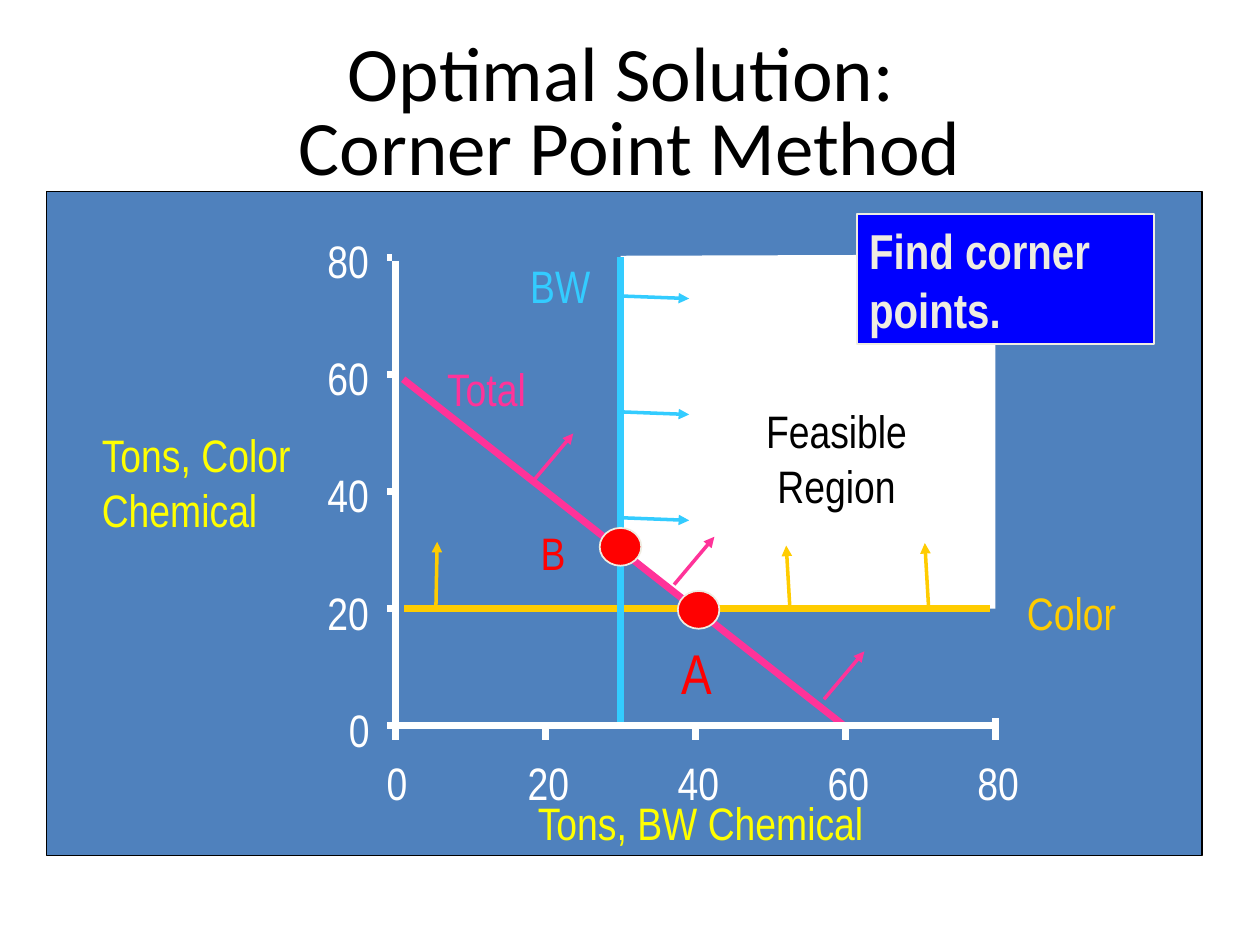
from lxml.etree import SubElement
from pptx import Presentation
from pptx.dml.color import RGBColor
from pptx.enum.shapes import MSO_CONNECTOR, MSO_SHAPE
from pptx.enum.text import MSO_ANCHOR, MSO_AUTO_SIZE, PP_ALIGN
from pptx.oxml.ns import qn
from pptx.util import Inches, Pt

COLORS = {
    "panel": "4F81BD", "white": "FFFFFF", "black": "000000",
    "axis_title": "FFFF00", "bw": "33CCFF", "color": "FFCC00",
    "total": "FF3399", "corner": "FF0101", "callout": "0000FF",
    "cream": "EEECE1",
}
LABEL_FONT = "Arial Narrow"
LABEL_SIZE = 26
LABEL_HEIGHT = 0.53

# Plot grid: origin in inches and the length of one step of 20 tons
ORIGIN_X, ORIGIN_Y = 3.14, 5.76
STEP_X, STEP_Y = 1.19, 0.93
STEP_TONS = 20
TICKS = range(0, 81, STEP_TONS)


def plot_x(tons):
    return ORIGIN_X + STEP_X * tons / STEP_TONS


def plot_y(tons):
    return ORIGIN_Y - STEP_Y * tons / STEP_TONS


def rgb(name):
    return RGBColor.from_string(COLORS[name])


def add_run(paragraph, text, color, size=LABEL_SIZE, font=LABEL_FONT, bold=None):
    run = paragraph.add_run()
    run.text = text
    run.font.name = font
    run.font.size = Pt(size)
    run.font.bold = bold
    run.font.color.rgb = rgb(color)


def add_label(slide, lines, left, top, width, color, height=LABEL_HEIGHT,
              size=LABEL_SIZE, align=PP_ALIGN.LEFT, wrap=False):
    label = slide.shapes.add_textbox(
        Inches(left), Inches(top), Inches(width), Inches(height))
    frame = label.text_frame
    frame.word_wrap = wrap
    frame.auto_size = MSO_AUTO_SIZE.SHAPE_TO_FIT_TEXT
    for index, line in enumerate(lines):
        paragraph = frame.add_paragraph() if index else frame.paragraphs[0]
        paragraph.alignment = align
        add_run(paragraph, line, color, size)


def add_line(slide, start, end, color, width=4, arrow=False):
    line = slide.shapes.add_connector(
        MSO_CONNECTOR.STRAIGHT, *(Inches(length) for length in (*start, *end)))
    line.line.color.rgb = rgb(color)
    line.line.width = Pt(width)
    if arrow:
        SubElement(line.line._get_or_add_ln(), qn("a:tailEnd"), type="triangle")
    SubElement(line._element.spPr, qn("a:effectLst"))


def add_filled(slide, preset, left, top, width, height, fill, outline, weight):
    shape = slide.shapes.add_shape(
        preset, Inches(left), Inches(top), Inches(width), Inches(height))
    shape.shadow.inherit = False
    shape.fill.solid()
    shape.fill.fore_color.rgb = rgb(fill)
    shape.line.color.rgb = rgb(outline)
    shape.line.width = Pt(weight)
    return shape


def add_title(slide):
    title = slide.shapes.title
    title.left, title.top = Inches(0.5), Inches(0.3)
    title.width, title.height = Inches(9), Inches(1.25)
    title.text_frame.vertical_anchor = MSO_ANCHOR.MIDDLE
    paragraph = title.text_frame.paragraphs[0]
    paragraph.alignment = PP_ALIGN.CENTER
    paragraph.line_spacing = 0.8
    add_run(paragraph, "Optimal Solution: ", "black", 44, "Calibri")
    paragraph.add_line_break()
    add_run(paragraph, "Corner Point Method", "black", 44, "Calibri")


def add_feasible_region(slide):
    corners = [(plot_x(30), 4.37), (5.56, plot_y(20)), (plot_x(80), plot_y(20)),
               (plot_x(80), 2.02), (plot_x(30), 2.03)]
    points = [(Inches(x), Inches(y)) for x, y in corners]
    builder = slide.shapes.build_freeform(*points[0])
    builder.add_line_segments(points[1:], close=True)
    region = builder.convert_to_shape()
    region.shadow.inherit = False
    region.fill.solid()
    region.fill.fore_color.rgb = rgb("white")
    region.line.fill.background()
    add_label(slide, ["Feasible ", "Region"], 5.94, 3.15, 1.4, "black",
              height=0.96, align=PP_ALIGN.CENTER)


def add_axes(slide):
    for tons in TICKS:
        x, y = plot_x(tons), plot_y(tons)
        add_line(slide, (3.07, y), (3.11, y), "white")
        add_line(slide, (x, 5.87), (x, 5.7 if tons == 80 else 5.73), "white")
        # Tick labels: one-digit boxes are narrower
        width = 0.53 if tons else 0.36
        add_label(slide, [str(tons)], 3.03 - width, y - 0.24, width, "white")
        add_label(slide, [str(tons)], x - 0.24 if tons else 2.97, 5.94, width, "white")
    add_label(slide, ["Tons, Color Chemical"], 0.71, 3.34, 1.89, "axis_title",
              height=0.96, wrap=True)
    add_label(slide, ["Tons, BW Chemical"], 4.17, 6.26, 2.82, "axis_title")


def add_constraints(slide):
    # Constraint lines
    add_line(slide, (3.2, 3.01), (6.7, ORIGIN_Y), "total")
    add_line(slide, (3.21, plot_y(20)), (7.86, plot_y(20)), "color")
    add_line(slide, (plot_x(30), ORIGIN_Y), (plot_x(30), plot_y(80)), "bw")
    add_label(slide, ["BW"], 4.11, 2, 0.68, "bw")
    add_label(slide, ["Color"], 8.05, 4.59, 0.91, "color", align=PP_ALIGN.CENTER)
    add_label(slide, ["Total"], 3.45, 2.82, 0.86, "total")

    # Axis lines cover the ends of the constraint lines
    add_line(slide, (3.16, ORIGIN_Y), (7.88, ORIGIN_Y), "white")
    add_line(slide, (ORIGIN_X, 2.07), (ORIGIN_X, 5.73), "white")

    # Arrows towards the feasible side: starts, then one offset per constraint
    arrows = {
        "bw": ([(4.95, 2.35), (4.95, 3.27), (4.95, 4.11)], (0.52, 0.02)),
        "color": ([(7.37, 4.82), (6.27, 4.84)], (-0.03, -0.51)),
        "total": ([(6.54, 5.55), (5.35, 4.64), (4.23, 3.82)], (0.32, -0.38)),
    }
    for constraint, (starts, (dx, dy)) in arrows.items():
        for x, y in starts:
            add_line(slide, (x, y), (x + dx, y + dy), constraint, 2, arrow=True)
    add_line(slide, (3.46, 4.81), (3.47, 4.3), "color", 2, arrow=True)


def add_callout(slide):
    callout = add_filled(slide, MSO_SHAPE.RECTANGLE, 6.8, 1.7, 2.36, 1.03,
                         "callout", "cream", 1)
    frame = callout.text_frame
    frame.word_wrap = True
    frame.vertical_anchor = MSO_ANCHOR.TOP
    frame.paragraphs[0].alignment = PP_ALIGN.LEFT
    add_run(frame.paragraphs[0], "Find corner points.", "cream", 28, bold=True)


def add_corner_points(slide):
    for left, top in ((4.76, 4.19), (5.38, 4.69)):
        add_filled(slide, MSO_SHAPE.OVAL, left, top, 0.33, 0.3, "corner", "cream", 1)
    add_label(slide, ["A"], 5.31, 5.02, 0.44, "corner", height=0.63, size=32,
              align=PP_ALIGN.CENTER)
    add_label(slide, ["B"], 4.19, 4.12, 0.4, "corner", align=PP_ALIGN.CENTER)


def main():
    deck = Presentation()
    deck.slide_width, deck.slide_height = Inches(10), Inches(7.5)
    slide = deck.slides.add_slide(deck.slide_layouts[5])
    add_title(slide)
    add_filled(slide, MSO_SHAPE.RECTANGLE, 0.37, 1.52, 9.17, 5.27,
               "panel", "black", 0.75)
    add_feasible_region(slide)
    add_axes(slide)
    add_constraints(slide)
    add_callout(slide)
    add_corner_points(slide)
    deck.save("out.pptx")


if __name__ == "__main__":
    main()
